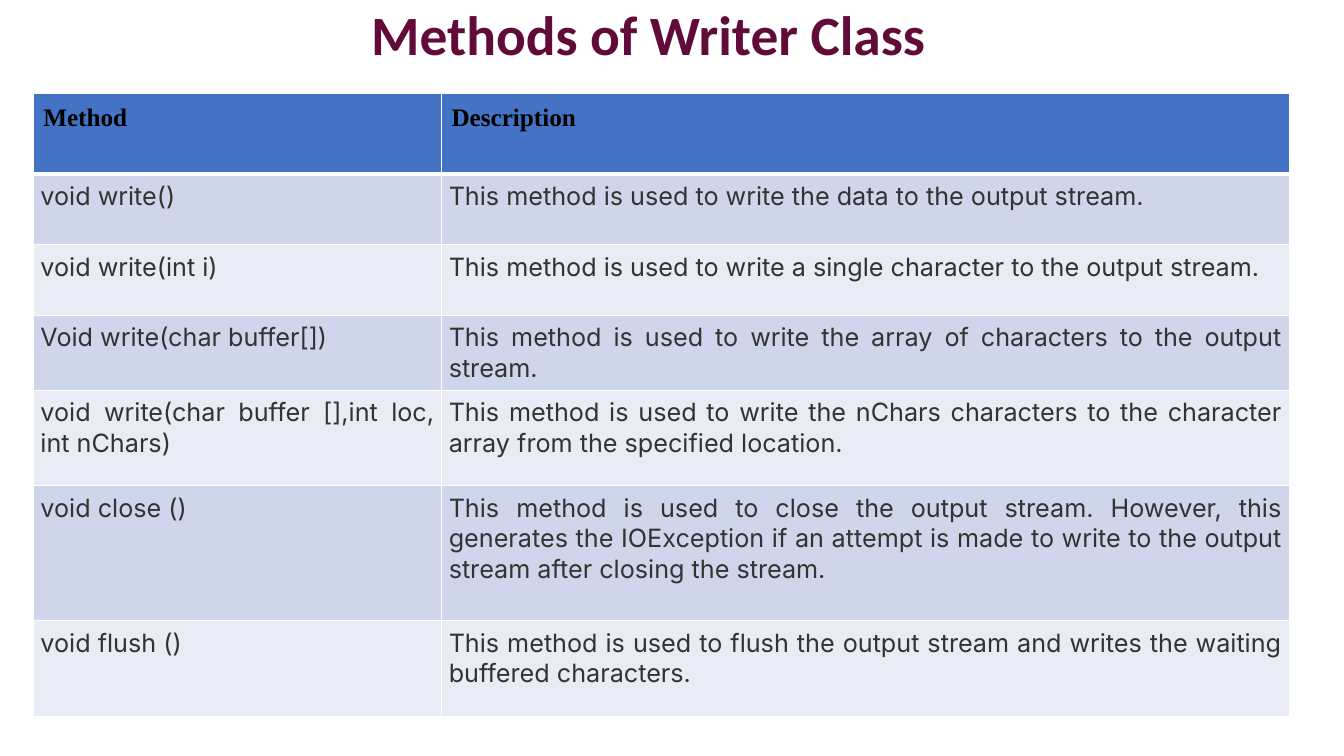
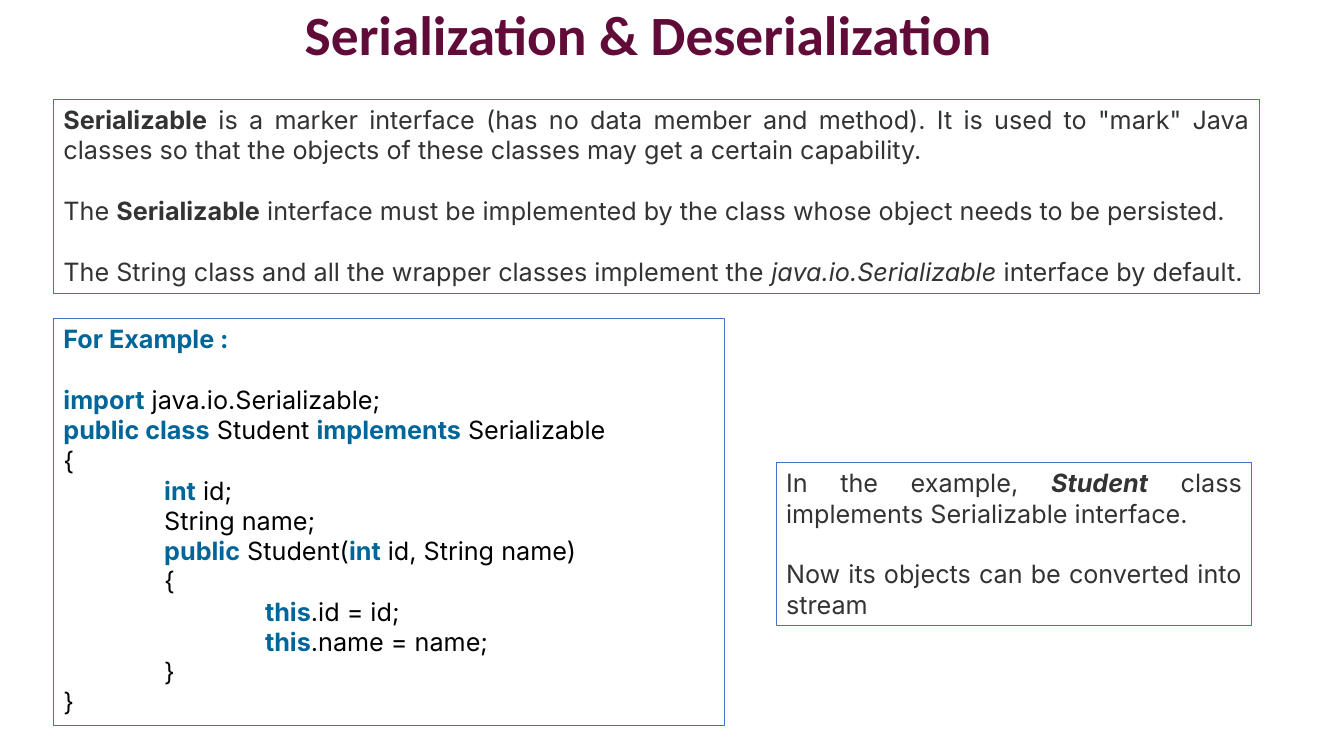
from typing import NamedTuple

from lxml.etree import SubElement
from pptx import Presentation
from pptx.dml.color import RGBColor
from pptx.enum.text import MSO_ANCHOR as Anchor, MSO_AUTO_SIZE as AutoSize, PP_ALIGN as Align
from pptx.oxml.ns import qn
from pptx.util import Cm, Pt

COLORS = {
    "title": "610B38",
    "accent": "4472C4",
    "body": "333333",
    "code": "000000",
    "keyword": "006699",
    "band_dark": "CFD5EA",
    "band_light": "E9EBF5",
    "rule": "FFFFFF",
}
TITLE_FONT, HEADER_FONT, BODY_FONT = "Calibri", "Times New Roman", "Inter"
BODY_SIZE = 18
LINE_GAP = Pt(21.8)
INDENT = Cm(2.54)

EMPHASIS = {
    "strong": {"bold": True},
    "italic": {"italic": True},
    "strong_italic": {"bold": True, "italic": True},
    "keyword": {"bold": True, "color": "keyword"},
}

METHODS = [
    ("void write()", "This method is used to write the data to the output stream."),
    ("void write(int i)",
     "This method is used to write a single character to the output stream."),
    ("Void write(char buffer[])",
     "This method is used to write the array of characters to the output stream."),
    ("void write(char buffer [],int loc, int nChars)",
     "This method is used to write the nChars characters to the character array "
     "from the specified location."),
    ("void close ()",
     "This method is used to close the output stream. However, this generates the "
     "IOException if an attempt is made to write to the output stream after closing "
     "the stream."),
    ("void flush ()",
     "This method is used to flush the output stream and writes the waiting "
     "buffered characters."),
]
COLUMN_WIDTHS = (10.29, 21.36)
ROW_HEIGHTS = (2.03, 1.78, 1.78, 1.78, 2.41, 3.4, 2.41)


class Line(NamedTuple):
    """A paragraph whose parts between asterisks are emphasised."""
    text: str
    emphasis: str = "strong"
    level: int = 0
    gap: bool = False


DEFINITION = [
    Line('*Serializable* is a marker interface (has no data member and method). It is used '
         'to "mark" Java classes so that the objects of these classes may get a certain '
         'capability.'),
    Line("The *Serializable* interface must be implemented by the class whose object needs "
         "to be persisted.", gap=True),
    Line("The String class and all the wrapper classes implement the *java.io.Serializable* "
         "interface by default.", "italic", gap=True),
]
EXAMPLE = [
    Line("*For Example :*", "keyword"),
    Line("*import* java.io.Serializable;", "keyword", gap=True),
    Line("*public class* Student *implements* Serializable", "keyword"),
    Line("{"),
    Line("*int* id;", "keyword", 1),
    Line("String name;", level=1),
    Line("*public* Student(*int* id, String name)", "keyword", 1),
    Line("{", level=1),
    Line("*this*.id = id;", "keyword", 2),
    Line("*this*.name = name;", "keyword", 2),
    Line("}", level=1),
    Line("}"),
]
REMARK = [
    Line("In the example, *Student* class implements Serializable interface.",
         "strong_italic"),
    Line("Now its objects can be converted into stream", gap=True),
]


def rgb(name):
    """Return the named colour."""
    return RGBColor.from_string(COLORS[name])


def style_run(run, color, font=BODY_FONT, size=BODY_SIZE, bold=False, italic=False):
    """Set the character format of a run."""
    run.font.name = font
    run.font.size = Pt(size)
    run.font.bold = bold
    run.font.italic = italic
    run.font.color.rgb = rgb(color)


def add_title(slide, wording):
    """Add the centred slide title."""
    frame = slide.shapes.add_textbox(Cm(1.14), Cm(0), Cm(30.4), Cm(1.88)).text_frame
    frame.word_wrap = True
    frame.vertical_anchor = Anchor.MIDDLE
    frame.text = wording
    heading = frame.paragraphs[0]
    heading.alignment = Align.CENTER
    heading.line_spacing = 0.9
    style_run(heading.runs[0], "title", TITLE_FONT, 39.6, bold=True)


def write_line(paragraph, line, color):
    """Fill a paragraph with the plain and emphasised parts of a line."""
    paragraph.alignment = Align.JUSTIFY
    if line.gap:
        paragraph.space_before = LINE_GAP
    if line.level:
        paragraph._p.get_or_add_pPr().set("marL", str(INDENT * line.level))
    for index, part in enumerate(line.text.split("*")):
        if part:
            run = paragraph.add_run()
            run.text = part
            look = EMPHASIS[line.emphasis] if index % 2 else {}
            style_run(run, **{"color": color, **look})


def add_panel(slide, place, lines, color="body"):
    """Add an outlined text panel; place is left, top, width, height in cm."""
    panel = slide.shapes.add_textbox(*map(Cm, place))
    panel.line.color.rgb = rgb("accent")
    panel.line.width = Pt(0.75)
    frame = panel.text_frame
    frame.word_wrap = True
    frame.auto_size = AutoSize.SHAPE_TO_FIT_TEXT
    for index, line in enumerate(lines):
        paragraph = frame.add_paragraph() if index else frame.paragraphs[0]
        write_line(paragraph, line, color)


def add_borders(cell, top, bottom):
    """Draw the white cell borders, with top and bottom widths in points."""
    properties = cell._tc.get_or_add_tcPr()
    for side, width in (("L", 1), ("R", 1), ("T", top), ("B", bottom)):
        border = SubElement(properties, qn(f"a:ln{side}"), w=str(Pt(width)))
        fill = SubElement(border, qn("a:solidFill"))
        SubElement(fill, qn("a:srgbClr"), val=COLORS["rule"])


def fill_cell(cell, wording, row):
    """Write and format one table cell according to its row."""
    header = row == 0
    add_borders(cell, 3 if row == 1 else 1, 3 if header else 1)
    cell.fill.solid()
    band = "band_dark" if row % 2 else "band_light"
    cell.fill.fore_color.rgb = rgb("accent" if header else band)
    inset = Cm(0.25 if header else 0.18)
    cell.margin_left = cell.margin_right = cell.margin_top = cell.margin_bottom = inset
    cell.text_frame.text = wording
    paragraph = cell.text_frame.paragraphs[0]
    if header:
        style_run(paragraph.runs[0], "code", HEADER_FONT, bold=True)
    else:
        paragraph.alignment = Align.JUSTIFY
        style_run(paragraph.runs[0], "body")


def add_method_table(slide, records):
    """Add the table of methods and their descriptions."""
    table = slide.shapes.add_table(
        len(records), len(COLUMN_WIDTHS), Cm(0.84), Cm(2.36),
        Cm(sum(COLUMN_WIDTHS)), Cm(sum(ROW_HEIGHTS))).table
    for column, width in zip(table.columns, COLUMN_WIDTHS):
        column.width = Cm(width)
    for row, (record, height) in enumerate(zip(records, ROW_HEIGHTS)):
        table.rows[row].height = Cm(height)
        for column, wording in enumerate(record):
            fill_cell(table.cell(row, column), wording, row)


def add_slide(deck, title):
    """Add a blank slide with its title."""
    slide = deck.slides.add_slide(deck.slide_layouts[6])
    add_title(slide, title)
    return slide


def main():
    """Build and save the slides."""
    deck = Presentation()
    deck.slide_width, deck.slide_height = Cm(33.87), Cm(19.05)

    writer = add_slide(deck, "Methods of Writer Class")
    add_method_table(writer, [("Method", "Description"), *METHODS])

    serialization = add_slide(deck, "Serialization & Deserialization")
    add_panel(serialization, (1.35, 2.51, 30.4, 4.88), DEFINITION)
    add_panel(serialization, (1.35, 8.03, 16.92, 10.26), EXAMPLE, "code")
    add_panel(serialization, (19.56, 11.66, 11.99, 4.11), REMARK)

    deck.save("out.pptx")


if __name__ == "__main__":
    main()
